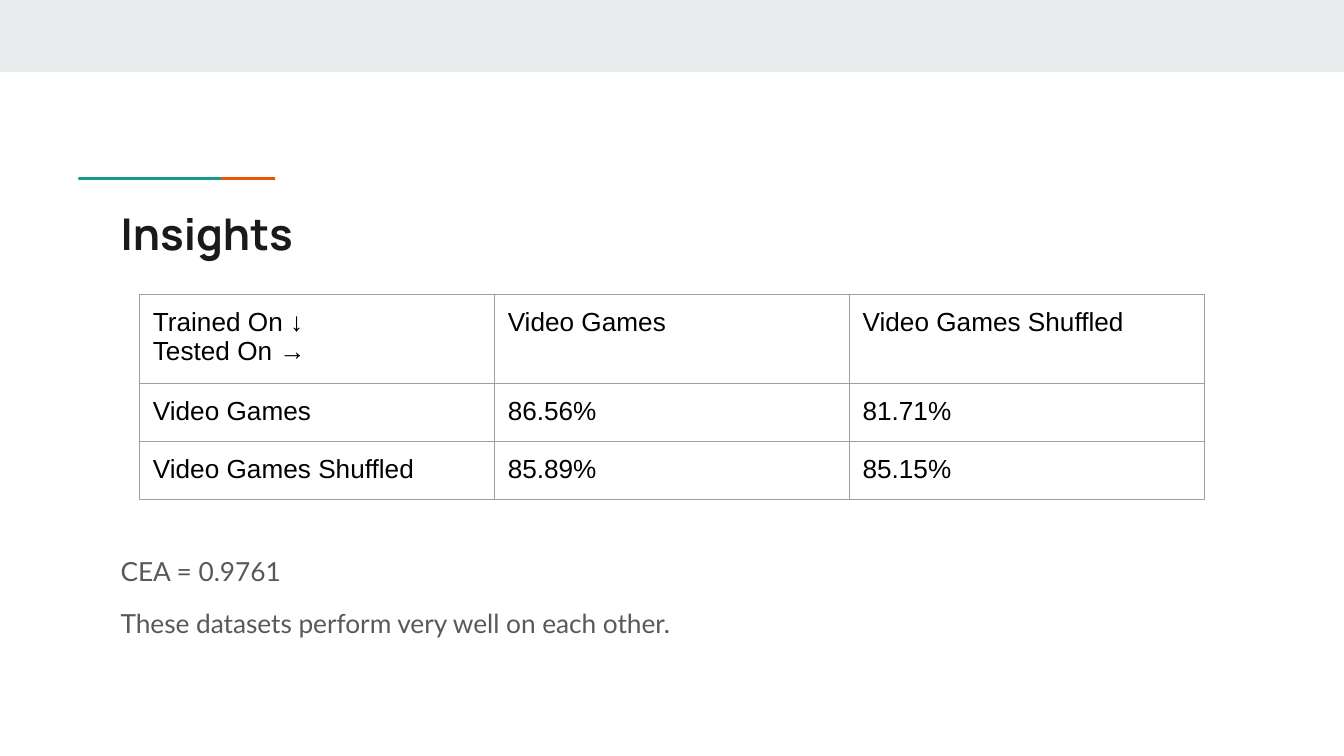
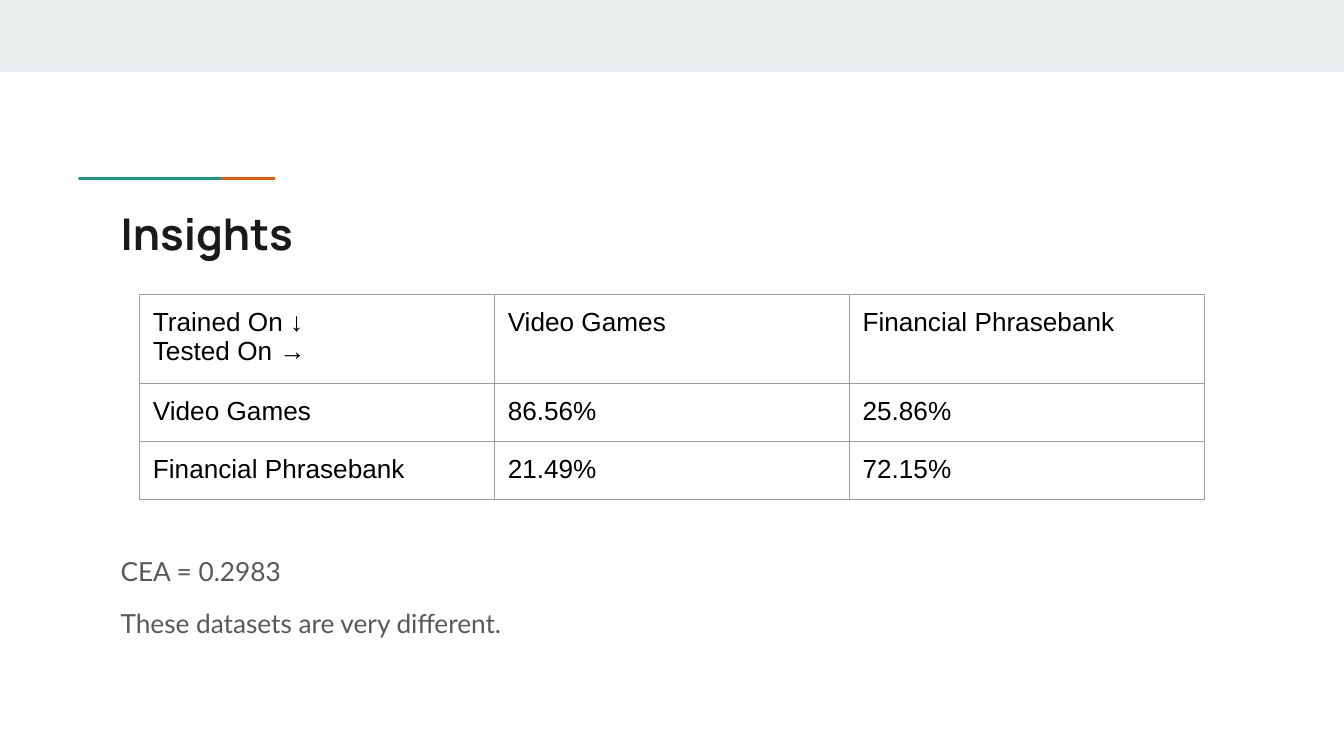
from lxml.etree import SubElement
from pptx import Presentation
from pptx.dml.color import RGBColor
from pptx.enum.shapes import MSO_SHAPE as Shape
from pptx.enum.text import MSO_ANCHOR as Anchor, MSO_AUTO_SIZE as AutoSize, PP_ALIGN as Align
from pptx.oxml.ns import qn
from pptx.util import Cm, Pt

COLORS = {
    "band": "E9EDEE",
    "green": "1A9988",
    "orange": "EB5600",
    "title": "1A1A1A",
    "body": "595959",
    "cell": "000000",
    "border": "9E9E9E",
}
INSET = Cm(0.25)
TEXT_LEFT, TEXT_WIDTH = Cm(2.03), Cm(21.36)
CORNER = "Trained On ↓\nTested On →"

# Left, top, width, height in centimetres, and colour; green overlaps orange
DECORATIONS = [
    (0, 0, 25.4, 1.36, "band"),
    (2.5, 3.35, 2.7, 0.05, "orange"),
    (1.48, 3.35, 2.7, 0.05, "green"),
]

# Other dataset, scores row by row, remarks
INSIGHTS = [
    ("Video Games Shuffled", [("86.56%", "81.71%"), ("85.89%", "85.15%")],
     "CEA = 0.9761\nThese datasets perform very well on each other."),
    ("Financial Phrasebank", [("86.56%", "25.86%"), ("21.49%", "72.15%")],
     "CEA = 0.2983\nThese datasets are very different."),
]


def write_text(frame, text, font, size, color, bold=False, line=1.0, gap=0):
    """Fill a text frame, one paragraph per line, with a gap around later ones."""
    frame.margin_left = frame.margin_right = INSET
    frame.margin_top = frame.margin_bottom = INSET
    frame.word_wrap = True
    for index, words in enumerate(text.split("\n")):
        para = frame.add_paragraph() if index else frame.paragraphs[0]
        para.alignment = Align.LEFT
        para.line_spacing = line
        if index:
            para.space_before = para.space_after = Pt(gap)
        span = para.add_run()
        span.text = words
        span.font.name = font
        span.font.size = Pt(size)
        span.font.bold = bold
        span.font.color.rgb = RGBColor.from_string(COLORS[color])


def draw_borders(cell):
    properties = cell._tc.get_or_add_tcPr()
    for index, side in enumerate(("lnL", "lnR", "lnT", "lnB")):
        edge = SubElement(properties, qn(f"a:{side}"), w=str(Pt(0.75)))
        fill = SubElement(edge, qn("a:solidFill"))
        SubElement(fill, qn("a:srgbClr"), val=COLORS["border"])
        properties.insert(index, edge)


deck = Presentation()
deck.slide_width, deck.slide_height = Cm(25.4), Cm(14.29)
title_only = deck.slide_layouts[5]

for dataset, scores, remarks in INSIGHTS:
    page = deck.slides.add_slide(title_only)

    # Top band and accent line
    for *bounds, color in DECORATIONS:
        bar = page.shapes.add_shape(Shape.RECTANGLE, *map(Cm, bounds))
        bar.shadow.inherit = False
        bar.fill.solid()
        bar.fill.fore_color.rgb = RGBColor.from_string(COLORS[color])
        bar.line.fill.background()

    # Title
    title = page.shapes.title
    title.left, title.top, title.width, title.height = TEXT_LEFT, Cm(3.66), TEXT_WIDTH, Cm(1.5)
    title.text_frame.auto_size = AutoSize.NONE
    title.text_frame.vertical_anchor = Anchor.MIDDLE
    write_text(title.text_frame, "Insights", "Manrope", 23.4, "title", bold=True)

    # Remarks
    box = page.shapes.add_textbox(TEXT_LEFT, Cm(10.29), TEXT_WIDTH, Cm(2.82))
    write_text(box.text_frame, remarks, "Lato", 14.1, "body", line=0.95, gap=12)

    # Score table; the two-line header row grows to fit its text
    names = ("Video Games", dataset)
    rows = [(CORNER, *names)] + [(name, *values) for name, values in zip(names, scores)]
    table = page.shapes.add_table(3, 3, Cm(2.64), Cm(5.56), Cm(20.12), Cm(3.18)).table
    table.first_row = table.horz_banding = False
    for row, texts in zip(table.rows, rows):
        for cell, text in zip(row.cells, texts):
            draw_borders(cell)
            cell.fill.background()
            cell.margin_left = cell.margin_right = INSET
            cell.margin_top = cell.margin_bottom = INSET
            write_text(cell.text_frame, text, "Arial", 14, "cell")

deck.save("out.pptx")
